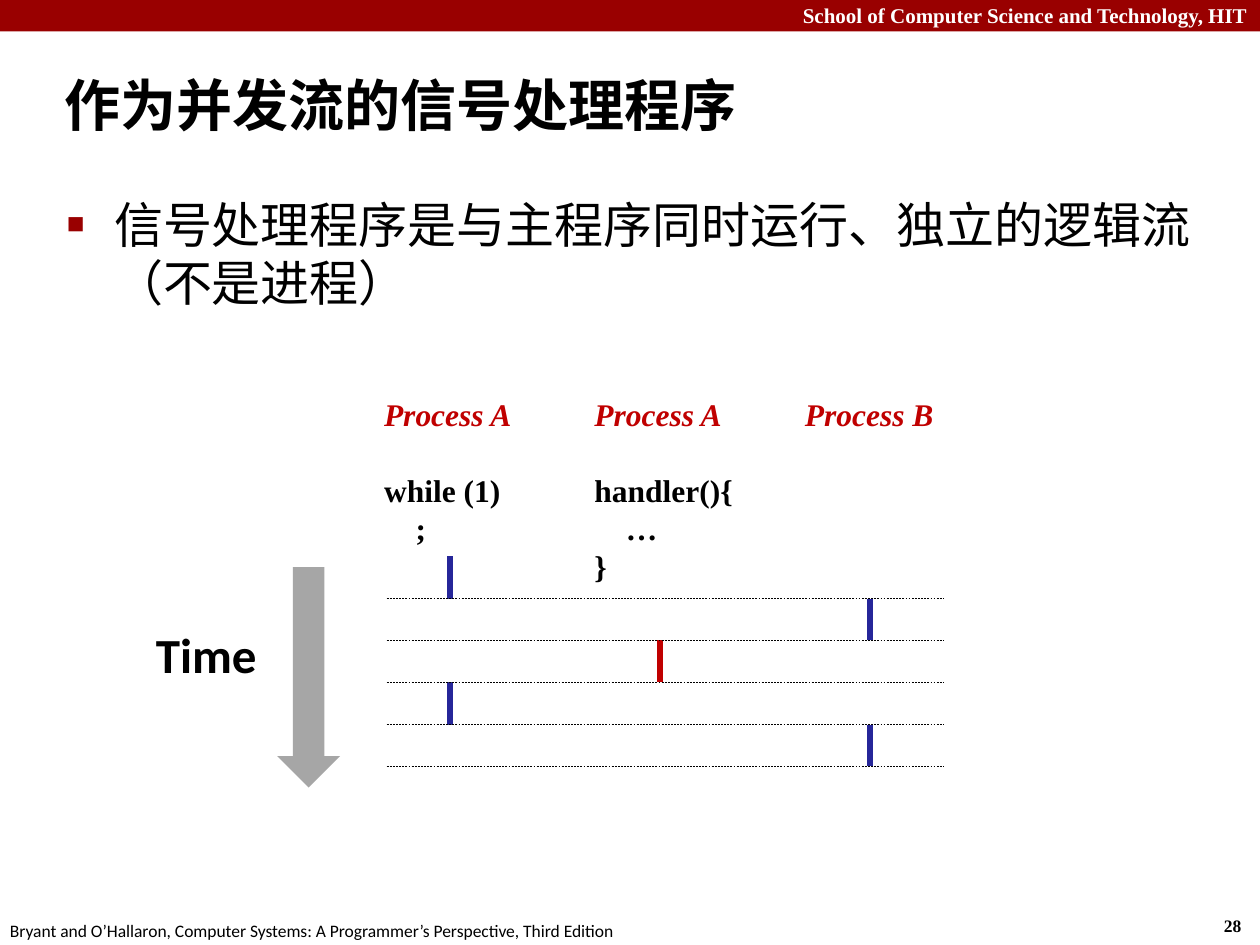
from dataclasses import dataclass

from lxml.etree import SubElement
from pptx import Presentation
from pptx.dml.color import RGBColor
from pptx.enum.dml import MSO_LINE
from pptx.enum.shapes import MSO_CONNECTOR, MSO_SHAPE
from pptx.enum.text import MSO_ANCHOR, MSO_AUTO_SIZE, PP_ALIGN
from pptx.oxml.ns import qn
from pptx.shapes.base import BaseShape
from pptx.slide import Slide
from pptx.text.text import TextFrame
from pptx.util import Pt

BLACK = RGBColor(0x00, 0x00, 0x00)
WHITE = RGBColor(0xFF, 0xFF, 0xFF)
CRIMSON = RGBColor(0x99, 0x00, 0x00)
RED = RGBColor(0xC0, 0x00, 0x00)
BLUE = RGBColor(0x26, 0x26, 0x99)
GREY = RGBColor(0xA6, 0xA6, 0xA6)
SANS = "Calibri"
SERIF = "Times New Roman"

FLOW_TOP = 318
STEP = 24
LANE_TOP = 221.8
CODE_LINE = 21.7


@dataclass(frozen=True)
class Lane:
    heading: str
    code: tuple[str, ...]
    left: float
    width: float
    flow_x: float
    color: RGBColor
    active_steps: tuple[int, ...]


LANES = (
    Lane("Process A", ("while (1)", "    ;"), 212.4, 91.4, 257.2, BLUE, (0, 3)),
    Lane("Process A", ("handler(){", "    …", "}"), 332.6, 94.3, 377.2, RED, (2,)),
    Lane("Process B", (), 452.9, 88.6, 497.2, BLUE, (1, 4)),
)
STEP_COUNT = sum(len(lane.active_steps) for lane in LANES)


def place(part: BaseShape, left: float, top: float, width: float, height: float) -> None:
    part.left, part.top, part.width, part.height = Pt(left), Pt(top), Pt(width), Pt(height)


def write(frame: TextFrame, text: str, *, size: float, font: str = SERIF,
          color: RGBColor = BLACK, bold: bool = False, italic: bool = False,
          align: PP_ALIGN = PP_ALIGN.LEFT, hanging: float = 0, bullet: str = "",
          line_spacing: float = 0, space_before: float = 0) -> None:
    paragraph = frame.paragraphs[0] if not frame.text else frame.add_paragraph()
    properties = paragraph._p.get_or_add_pPr()
    properties.set("marL", str(Pt(hanging)))
    properties.set("indent", str(-Pt(hanging)))
    paragraph.alignment = align
    paragraph.space_before = Pt(space_before)
    if line_spacing:
        paragraph.line_spacing = Pt(line_spacing)
    if bullet:
        bullet_color = SubElement(properties, qn("a:buClr"))
        SubElement(bullet_color, qn("a:srgbClr")).set("val", str(CRIMSON))
        SubElement(properties, qn("a:buSzPct")).set("val", "60000")
        SubElement(properties, qn("a:buChar")).set("char", bullet)
    run = paragraph.add_run()
    run.text = text
    run.font.size, run.font.name = Pt(size), font
    run.font.bold, run.font.italic = bold, italic
    run.font.color.rgb = color


def add_text_frame(slide: Slide, left: float, top: float, width: float,
                   height: float, wrap: bool = False) -> TextFrame:
    frame = slide.shapes.add_textbox(Pt(left), Pt(top), Pt(width), Pt(height)).text_frame
    frame.word_wrap = wrap
    return frame


def add_filled(slide: Slide, preset: MSO_SHAPE, left: float, top: float,
               width: float, height: float, color: RGBColor) -> None:
    block = slide.shapes.add_shape(preset, Pt(left), Pt(top), Pt(width), Pt(height))
    block.shadow.inherit = False
    block.fill.solid()
    block.fill.fore_color.rgb = color
    block.line.fill.background()


def add_line(slide: Slide, x1: float, y1: float, x2: float, y2: float,
             color: RGBColor, weight: float, dashed: bool = False) -> None:
    line = slide.shapes.add_connector(MSO_CONNECTOR.STRAIGHT, Pt(x1), Pt(y1), Pt(x2), Pt(y2))
    line.line.color.rgb = color
    line.line.width = Pt(weight)
    if dashed:
        line.line.dash_style = MSO_LINE.DASH
    SubElement(line._element.spPr, qn("a:effectLst"))


def add_lane(slide: Slide, lane: Lane) -> None:
    line_count = 2 + len(lane.code) if lane.code else 1
    frame = add_text_frame(slide, lane.left, LANE_TOP, lane.width, 7.2 + CODE_LINE * line_count)
    write(frame, lane.heading, size=18, color=RED, bold=True, italic=True,
          line_spacing=CODE_LINE)
    for index, code_line in enumerate(lane.code):
        write(frame, code_line, size=18, bold=True, line_spacing=CODE_LINE,
              space_before=0 if index else CODE_LINE)
    for step in lane.active_steps:
        top = FLOW_TOP + step * STEP
        add_line(slide, lane.flow_x, top, lane.flow_x, top + STEP, lane.color, 3)


def add_frame_texts(slide: Slide) -> None:
    add_filled(slide, MSO_SHAPE.RECTANGLE, 0, 0, 720, 18, CRIMSON)
    write(add_text_frame(slide, 0, -2, 720, 21.6, wrap=True),
          "School of Computer Science and Technology, HIT",
          size=12, color=WHITE, bold=True, align=PP_ALIGN.RIGHT)
    write(add_text_frame(slide, 692.3, 519.3, 26.6, 19.4), "28", size=10, bold=True)
    write(add_text_frame(slide, -1.4, 522, 365.8, 19.4),
          "Bryant and O’Hallaron, Computer Systems: A Programmer’s Perspective, Third Edition",
          size=10, font=SANS)


def fill_placeholders(slide: Slide) -> None:
    title, body = slide.shapes.title, slide.placeholders[1]
    place(title, 29.5, 29.5, 684.7, 59.8)
    place(body, 31, 107.3, 676.8, 414.7)
    for placeholder, anchor in ((title, MSO_ANCHOR.MIDDLE), (body, MSO_ANCHOR.TOP)):
        placeholder.text_frame.auto_size = MSO_AUTO_SIZE.NONE
        placeholder.text_frame.vertical_anchor = anchor
    write(title.text_frame, "作为并发流的信号处理程序", size=32, font=SANS, bold=True, hanging=9.4)
    write(body.text_frame, "信号处理程序是与主程序同时运行、独立的逻辑流（不是进程）",
          size=28, hanging=27, bullet="■")


def main() -> None:
    presentation = Presentation()
    presentation.slide_width, presentation.slide_height = Pt(720), Pt(540)
    slide = presentation.slides.add_slide(presentation.slide_layouts[1])
    add_frame_texts(slide)
    fill_placeholders(slide)
    for lane in LANES:
        add_lane(slide, lane)
    for step in range(1, STEP_COUNT + 1):
        y = FLOW_TOP + step * STEP
        add_line(slide, 221, y, 539, y, BLACK, 0.25, dashed=True)
    write(add_text_frame(slide, 82, 353.5, 82, 41, wrap=True), "Time",
          size=28, font=SANS, bold=True)
    add_filled(slide, MSO_SHAPE.DOWN_ARROW, 158.4, 324, 36, 126, GREY)
    presentation.save("out.pptx")


if __name__ == "__main__":
    main()
